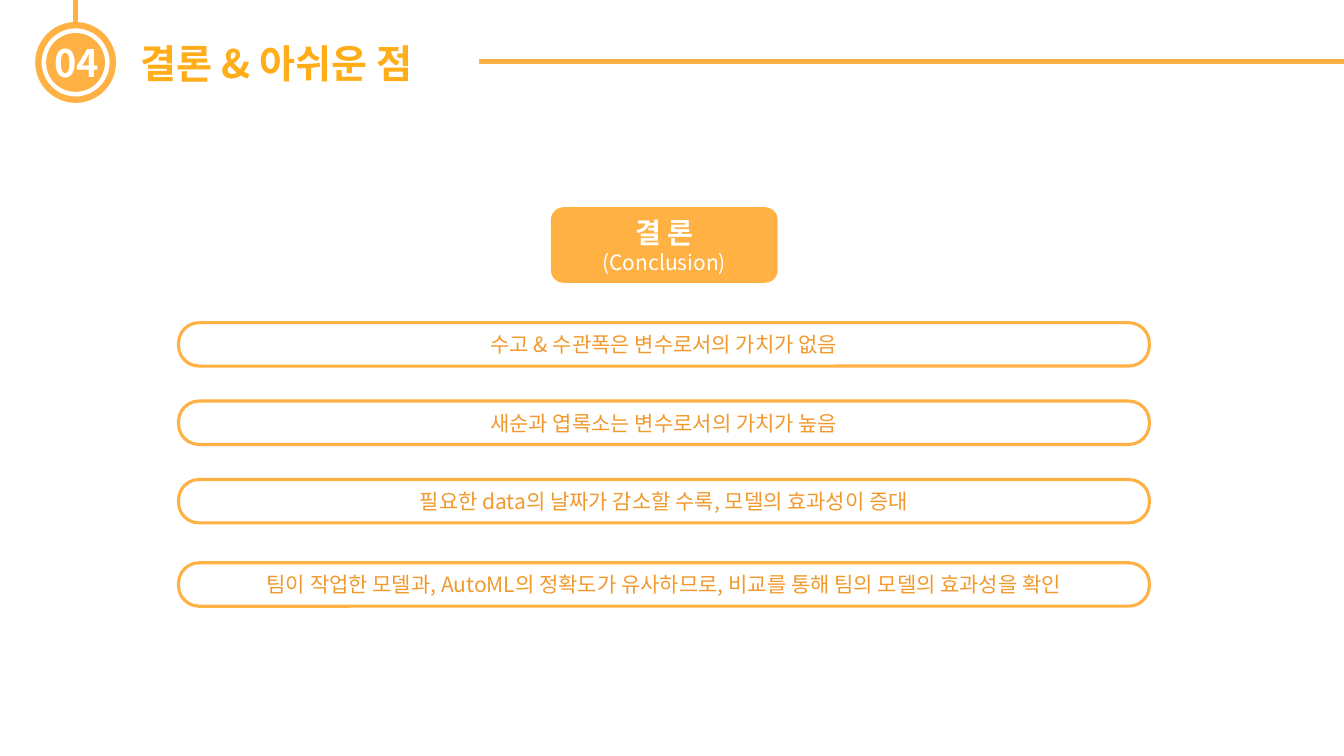
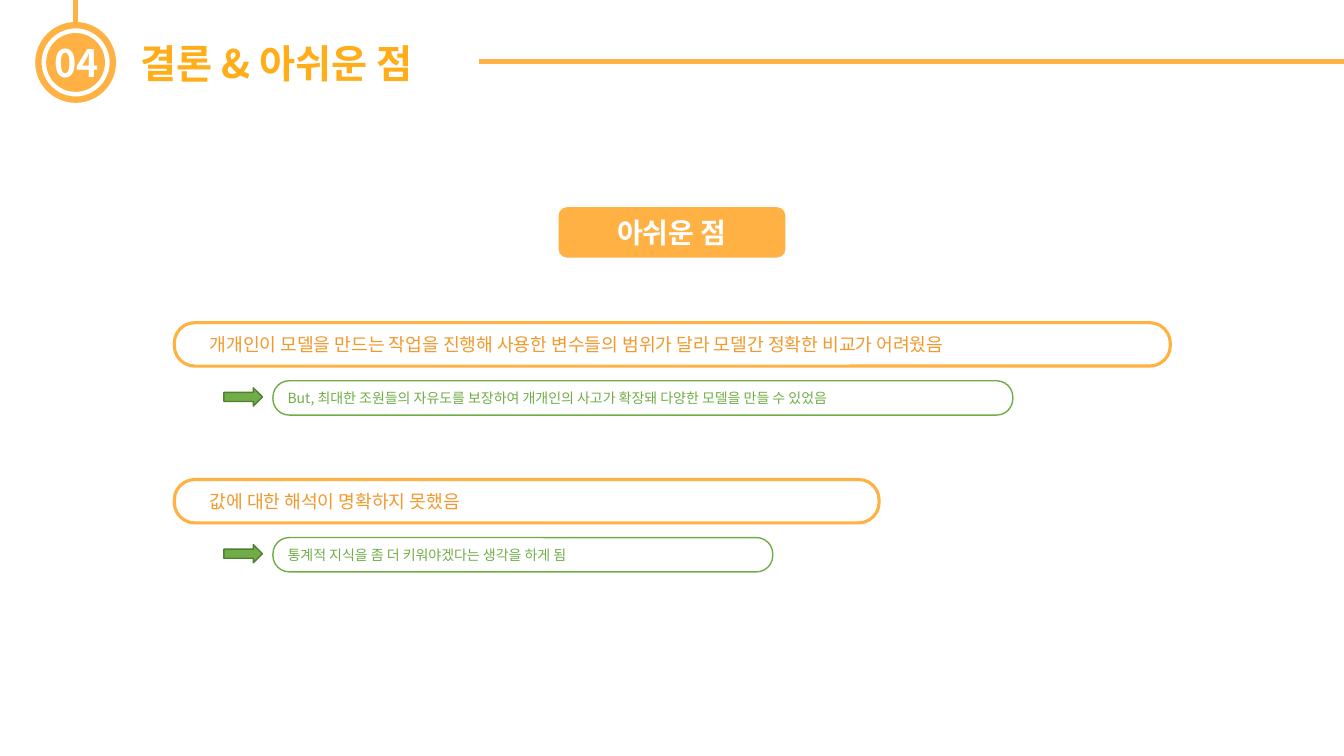
from lxml import etree
from pptx import Presentation
from pptx.dml.color import RGBColor
from pptx.enum import shapes, text
from pptx.oxml.ns import qn
from pptx.util import Pt

FONT = "Noto Sans CJK KR"
ORANGE, TITLE_ORANGE, TEXT_ORANGE = "FFB143", "FFAD19", "F1992D"
GREEN, DARK_GREEN, WHITE = "70AD47", "517E33", "FFFFFF"
PILL, LABEL = 0.473, 0.167  # corner rounding
CENTER, LEFT = text.PP_ALIGN.CENTER, text.PP_ALIGN.LEFT
KIND = shapes.MSO_SHAPE
rgb = RGBColor.from_string


def add_box(page, kind, frame, fill=None, line=None, weight=1, rounding=None):
    """Add a preset shape; frame is left, top, width, height in points."""
    box = page.shapes.add_shape(kind, *[Pt(value) for value in frame])
    box.shadow.inherit = False
    if fill:
        box.fill.solid()
        box.fill.fore_color.rgb = rgb(fill)
    else:
        box.fill.background()
    if line:
        box.line.color.rgb = rgb(line)
        box.line.width = Pt(weight)
    else:
        box.line.fill.background()
    if rounding:
        box.adjustments[0] = rounding
    return box


def write(box, lines, color, align=CENTER, inset=7.2):
    """Fill a shape with paragraphs given as (words, size, bold)."""
    frame = box.text_frame
    frame.word_wrap = True
    frame.auto_size = text.MSO_AUTO_SIZE.NONE
    frame.vertical_anchor = text.MSO_ANCHOR.MIDDLE
    frame.margin_left = Pt(inset)
    for index, (words, size, bold) in enumerate(lines):
        para = frame.add_paragraph() if index else frame.paragraphs[0]
        para.alignment = align
        span = para.add_run()
        span.text = words
        span.font.name = FONT
        span.font.size = Pt(size)
        span.font.bold = bold
        span.font.color.rgb = rgb(color)
        east_asian = etree.SubElement(span.font._element, qn("a:ea"))
        east_asian.set("typeface", FONT)


deck = Presentation()
deck.slide_width, deck.slide_height = Pt(960), Pt(540)

# Header shared by both slides
pages = []
for number in range(2):
    page = deck.slides.add_slide(deck.slide_layouts[5])
    pages.append(page)

    title = page.shapes.title
    title.left, title.top, title.width, title.height = Pt(93.5), Pt(24.5), Pt(238.5), Pt(41)
    write(title, [("결론 & 아쉬운 점", 28, True)], TITLE_ORANGE, LEFT)

    ring = add_box(page, KIND.OVAL, (27.4, 18, 53.2, 53.2), WHITE, ORANGE, 4.5)
    add_box(page, KIND.OVAL, (33, 23.6, 42, 42), ORANGE)

    for start_x, start_y, end_x, end_y in [(54, 0, 54, 18), (960, 44, 342, 44)]:
        rule = page.shapes.add_connector(
            shapes.MSO_CONNECTOR.STRAIGHT, Pt(start_x), Pt(start_y), Pt(end_x), Pt(end_y))
        rule.line.color.rgb = rgb(ORANGE)
        rule.line.width = Pt(3)
        etree.SubElement(rule._element.spPr, qn("a:effectLst"))
        if start_x == end_x:
            rule.end_connect(ring, 0)

    badge = page.shapes.add_textbox(Pt(31.5), Pt(24.5), Pt(46), Pt(40))
    write(badge, [("04", 27, True)], WHITE)

conclusion, regrets = pages

# Slide 1: conclusions
findings = [
    (230.5, "수고 & 수관폭은 변수로서의 가치가 없음"),
    (286.5, "새순과 엽록소는 변수로서의 가치가 높음"),
    (342.5, "필요한 data의 날짜가 감소할 수록, 모델의 효과성이 증대"),
    (402, "팀이 작업한 모델과, AutoML의 정확도가 유사하므로, 비교를 통해 팀의 모델의 효과성을 확인"),
]
for top, words in findings:
    bar = add_box(conclusion, KIND.ROUNDED_RECTANGLE, (127.5, top, 693.5, 31),
                  line=ORANGE, weight=2.25, rounding=PILL)
    write(bar, [(words, 15, False)], TEXT_ORANGE)

label = add_box(conclusion, KIND.ROUNDED_RECTANGLE, (393.5, 148, 162, 54), ORANGE, rounding=LABEL)
write(label, [("결 론", 20, True), ("(Conclusion)", 15, False)], WHITE)

# Slide 2: regrets, each with a reply below it
label = add_box(regrets, KIND.ROUNDED_RECTANGLE, (399, 148, 162, 36), ORANGE, rounding=LABEL)
write(label, [("아쉬운 점", 20, True)], WHITE)

points = [
    (230.5, 711.5, "개개인이 모델을 만드는 작업을 진행해 사용한 변수들의 범위가 달라 모델간 정확한 비교가 어려웠음",
     528.5, "But, 최대한 조원들의 자유도를 보장하여 개개인의 사고가 확장돼 다양한 모델을 만들 수 있었음"),
    (342.5, 503.5, "값에 대한 해석이 명확하지 못했음",
     357, "통계적 지식을 좀 더 키워야겠다는 생각을 하게 됨"),
]
for top, width, regret, reply_width, reply in points:
    bar = add_box(regrets, KIND.ROUNDED_RECTANGLE, (124.5, top, width, 31),
                  line=ORANGE, weight=2.25, rounding=PILL)
    write(bar, [(regret, 13, False)], TEXT_ORANGE, LEFT, inset=21)
    answer = add_box(regrets, KIND.ROUNDED_RECTANGLE, (195, top + 41.5, reply_width, 24.5),
                     line=GREEN, rounding=PILL)
    write(answer, [(reply, 10, False)], GREEN, LEFT)
    add_box(regrets, KIND.RIGHT_ARROW, (160, top + 46.5, 27.5, 13), GREEN, DARK_GREEN)

deck.save("out.pptx")
